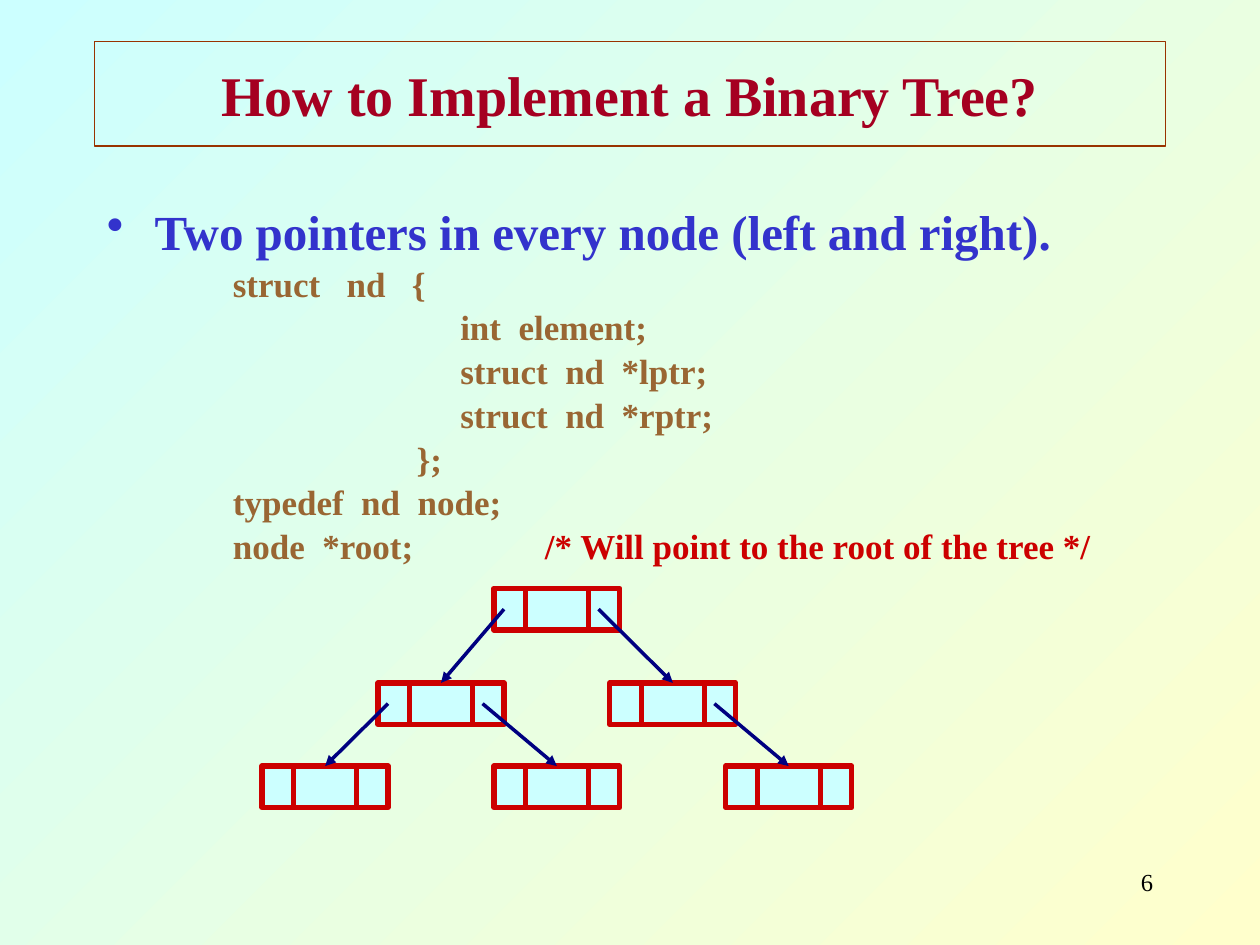
from lxml.etree import SubElement
from pptx import Presentation
from pptx.dml.color import RGBColor
from pptx.enum.shapes import MSO_CONNECTOR as Connector, MSO_SHAPE as Shape
from pptx.enum.text import MSO_ANCHOR as Anchor, PP_ALIGN as Align
from pptx.oxml.ns import qn
from pptx.util import Inches, Pt

COLORS = {
    "corner": "FFFFCC", "sky": "CCFFFF", "title": "A50021", "frame": "993300",
    "point": "3333CC", "code": "996633", "red": "CC0000", "navy": "000080",
    "number": "000000",
}
FORMATS = {
    "title": {"size": Pt(32), "bold": True},
    "point": {"size": Pt(28), "bold": True},
    "code": {"size": Pt(20), "bold": True},
    "number": {"size": Pt(14), "bold": False},
}
CODE = [
    [("struct   nd   {", "code")],
    [("                          int  element;", "code")],
    [("                          struct  nd  *lptr;", "code")],
    [("                          struct  nd  *rptr;", "code")],
    [("                     };", "code")],
    [("typedef  nd  node;", "code")],
    [("node  *root;               ", "code"),
     ("/* Will point to the root of the tree */", "red")],
]
NODE_WIDTH, NODE_HEIGHT = 1, 0.33
TREE_LEFT, COLUMN_STEP = 2.08, 0.92
ROW_TOPS = [4.67, 5.42, 6.08]
NODES = {"root": (2, 0), "left": (1, 1), "right": (3, 1),
         "left-left": (0, 2), "left-right": (2, 2), "right-right": (4, 2)}
POINTER_OFFSETS = {"lptr": 0.08, "rptr": 0.83}
POINTERS = [("root", "lptr", "left"), ("root", "rptr", "right"),
            ("left", "lptr", "left-left"), ("left", "rptr", "left-right"),
            ("right", "rptr", "right-right")]


def color(name):
    """Return the named palette colour."""
    return RGBColor.from_string(COLORS[name])


def node_corner(name):
    """Return the left and top of a tree node in inches."""
    column, row = NODES[name]
    return TREE_LEFT + column * COLUMN_STEP, ROW_TOPS[row]


class TreeSlide:
    """Holds the style and the current slide."""

    font_name = "Times New Roman"

    def __init__(self, slide):
        """Keep the slide and paint its background."""
        self.slide = slide
        fill = slide.background.fill
        fill.gradient()
        fill.gradient_angle = 135
        for stop, name in zip(fill.gradient_stops, ("corner", "sky")):
            stop.color.rgb = color(name)

    def styled_run(self, paragraph, text, style, color_name=None):
        """Add a run in the given style."""
        run = paragraph.add_run()
        run.text = text
        run.font.name = self.font_name
        run.font.color.rgb = color(color_name or style)
        for attribute, value in FORMATS[style].items():
            setattr(run.font, attribute, value)

    def text_box(self, left, top, width, height):
        """Add a wrapping text box and return its frame."""
        box = self.slide.shapes.add_textbox(
            Inches(left), Inches(top), Inches(width), Inches(height))
        box.text_frame.word_wrap = True
        return box.text_frame

    def rectangle(self, shapes, left, top, width, height, line, weight, fill=None):
        """Add an outlined rectangle."""
        box = shapes.add_shape(Shape.RECTANGLE, Inches(left), Inches(top),
                               Inches(width), Inches(height))
        box.shadow.inherit = False
        box.line.color.rgb = color(line)
        box.line.width = Pt(weight)
        if fill:
            box.fill.solid()
            box.fill.fore_color.rgb = color(fill)
        else:
            box.fill.background()
        return box

    def line(self, shapes, start, end, color_name, weight, arrow=False):
        """Add a straight line, with an arrowhead at its end if wanted."""
        connector = shapes.add_connector(
            Connector.STRAIGHT, *(Inches(value) for value in (*start, *end)))
        connector.line.color.rgb = color(color_name)
        connector.line.width = Pt(weight)
        properties = connector._element.spPr
        if arrow:
            SubElement(properties.get_or_add_ln(), qn("a:tailEnd"), type="triangle")
        SubElement(properties, qn("a:effectLst"))

    def title(self, text):
        """Add the framed title."""
        frame = self.rectangle(self.slide.shapes, 0.75, 0.33, 8.5, 0.83,
                               "frame", 0.75).text_frame
        frame.word_wrap = True
        frame.vertical_anchor = Anchor.MIDDLE
        frame.paragraphs[0].alignment = Align.CENTER
        self.styled_run(frame.paragraphs[0], text, "title")

    def indent(self, paragraph, margin, first_line):
        """Set the paragraph's indents and return its properties."""
        properties = paragraph._p.get_or_add_pPr()
        properties.set("marL", str(Inches(margin)))
        properties.set("indent", str(Inches(first_line)))
        return properties

    def body(self, point, code):
        """Add the bulleted point and the code below it."""
        frame = self.text_box(0.75, 1.5, 8.5, 5.17)
        frame.margin_top = Inches(0.1)
        bullet = frame.paragraphs[0]
        properties = self.indent(bullet, 0.38, -0.38)
        tint = SubElement(properties, qn("a:buClr"))
        SubElement(tint, qn("a:srgbClr"), val=COLORS["point"])
        SubElement(properties, qn("a:buChar"), char="•")
        self.styled_run(bullet, point, "point")
        for runs in code:
            paragraph = frame.add_paragraph()
            self.indent(paragraph, 1.25, -0.25)
            paragraph.space_before = Pt(1)
            for text, color_name in runs:
                self.styled_run(paragraph, text, "code", color_name)

    def node(self, name):
        """Add a tree node with its two pointer cells."""
        left, top = node_corner(name)
        shapes = self.slide.shapes.add_group_shape().shapes
        self.rectangle(shapes, left, top, NODE_WIDTH, NODE_HEIGHT, "red", 3, "sky")
        for share in (0.25, 0.75):
            x = left + share * NODE_WIDTH
            self.line(shapes, (x, top), (x, top + NODE_HEIGHT), "red", 3)

    def pointer(self, parent, side, child):
        """Add an arrow from a pointer cell to the child node."""
        left, top = node_corner(parent)
        child_left, child_top = node_corner(child)
        self.line(self.slide.shapes,
                  (left + POINTER_OFFSETS[side], top + NODE_HEIGHT / 2),
                  (child_left + NODE_WIDTH / 2, child_top), "navy", 2, arrow=True)

    def page_number(self, number):
        """Add the page number."""
        paragraph = self.text_box(7.17, 6.83, 2.08, 0.5).paragraphs[0]
        paragraph.alignment = Align.RIGHT
        self.styled_run(paragraph, number, "number")


def main():
    """Build the slide and save it."""
    deck = Presentation()
    deck.slide_width, deck.slide_height = Inches(10), Inches(7.5)
    page = TreeSlide(deck.slides.add_slide(deck.slide_layouts[6]))
    page.title("How to Implement a Binary Tree?")
    page.body("Two pointers in every node (left and right).", CODE)
    for name in NODES:
        page.node(name)
    for link in POINTERS:
        page.pointer(*link)
    page.page_number("6")
    deck.save("out.pptx")


if __name__ == "__main__":
    main()
